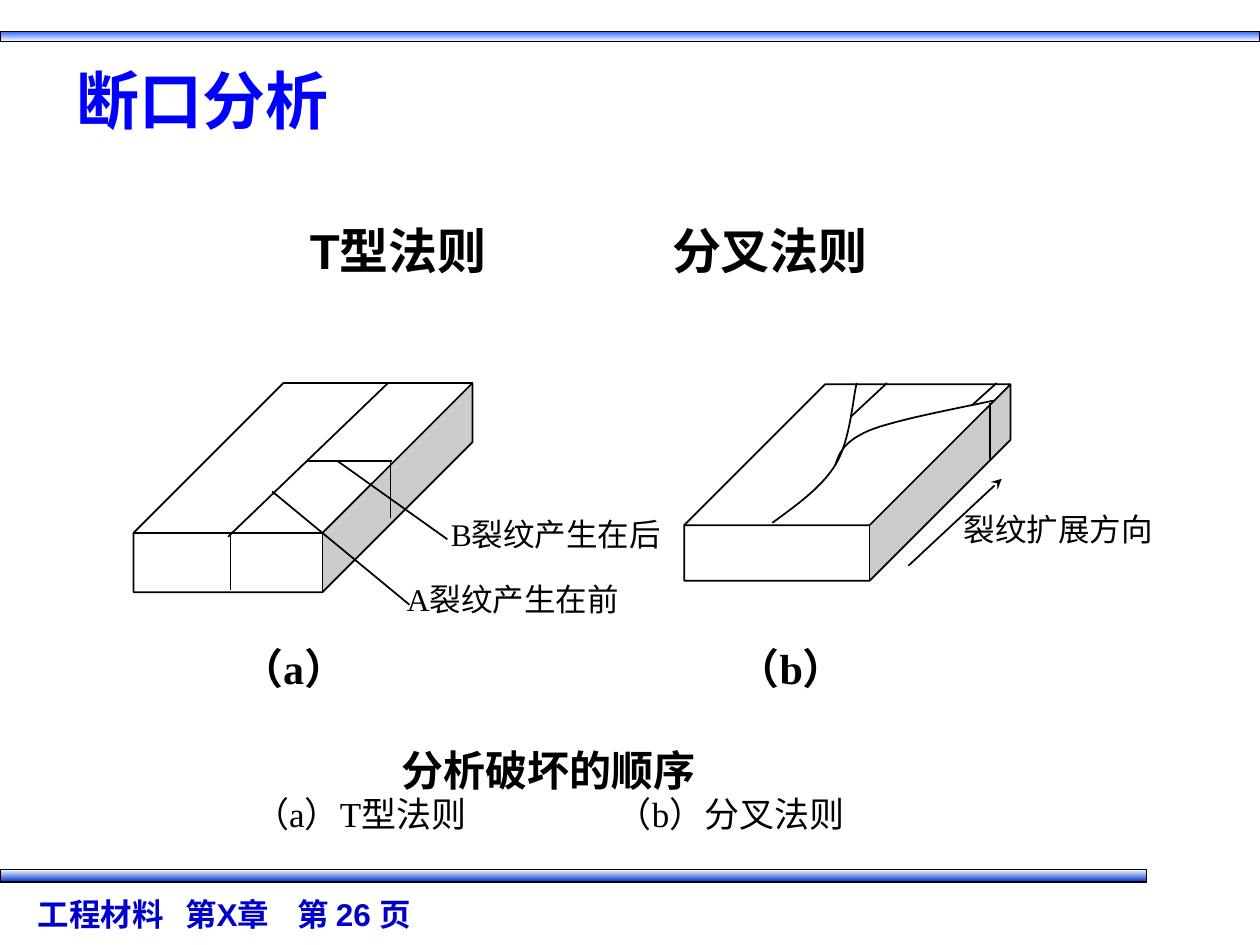
import pptx
import pptx.util
import pptx.dml.color
import pptx.enum.shapes
import pptx.enum.text
import pptx.oxml
import pptx.oxml.ns
from lxml import etree

Inches = pptx.util.Inches
Pt = pptx.util.Pt
ALIGN = pptx.enum.text.PP_ALIGN
SHAPE = pptx.enum.shapes.MSO_SHAPE
SERIF, SANS = "Times New Roman", "Arial"
HUES = {"ink": "000000", "white": "FFFFFF", "title": "0000FF",
        "foot": "0000CC", "sky": "3366FF", "navy": "0033CC"}


def hue(name):
    return pptx.dml.color.RGBColor.from_string(HUES[name])


def node(owner, tag, **attrs):
    return etree.SubElement(owner, pptx.oxml.ns.qn(tag), **attrs)


def style(shape, size, font, color="ink", bold=False, align=ALIGN.LEFT, wrap=False):
    frame = shape.text_frame
    frame.word_wrap = wrap
    frame.vertical_anchor = pptx.enum.text.MSO_ANCHOR.MIDDLE
    for para in frame.paragraphs:
        para.alignment = align
        for run in para.runs:
            run.font.size, run.font.name, run.font.bold = Pt(size), font, bold
            run.font.color.rgb = hue(color)


def label(slide, text, box, size, font=SERIF, **look):
    shape = slide.shapes.add_textbox(*map(Inches, box))
    shape.text_frame.text = text
    style(shape, size, font, **look)
    return shape


def pen(shape, width=1):
    shape.line.color.rgb = hue("ink")
    shape.line.width = Pt(width)


def rule(slide, box, start, end, arrow=False):
    """Straight line between two points measured from the box corner."""
    left, top = box[:2]
    ends = (left + start[0], top + start[1], left + end[0], top + end[1])
    line = slide.shapes.add_connector(
        pptx.enum.shapes.MSO_CONNECTOR.STRAIGHT, *map(Inches, ends))
    pen(line)
    if arrow:
        node(line.line._get_or_add_ln(), "a:tailEnd", type="stealth")
    node(line._element.spPr, "a:effectLst")


def curve(slide, box, start, *arcs, steps=16):
    """Open outline through cubic arcs, each given as two controls and an end."""
    points, here = [start], start
    for one, two, end in arcs:
        for i in range(1, steps + 1):
            t = i / steps
            u = 1 - t
            points.append(tuple(
                u**3 * a + 3 * u * u * t * b + 3 * u * t * t * c + t**3 * d
                for a, b, c, d in zip(here, one, two, end)))
        here = end
    spots = [(Inches(box[0] + x), Inches(box[1] + y)) for x, y in points]
    path = slide.shapes.build_freeform(*spots[0])
    path.add_line_segments(spots[1:], close=False)
    shape = path.convert_to_shape()
    shape.fill.background()
    shape.shadow.inherit = False
    pen(shape)


def bar(slide, box, top, base):
    shape = slide.shapes.add_shape(SHAPE.RECTANGLE, *map(Inches, box))
    shape.shadow.inherit = False
    shape.fill.gradient()
    shape.fill.gradient_angle = 270
    for stop, name in zip(shape.fill.gradient_stops, (top, base)):
        stop.color.rgb = hue(name)
    pen(shape, 0.75)


def block(slide, box):
    shape = slide.shapes.add_shape(SHAPE.CUBE, *map(Inches, box))
    shape.adjustments[0] = 0.717
    shape.shadow.inherit = False
    shape.fill.solid()
    shape.fill.fore_color.rgb = hue("white")
    pen(shape)


def footer(slide, box):
    shape = label(slide, "工程材料\t第X章\t第 26 页", box, 18, SANS,
                  color="foot", bold=True, wrap=True)
    props = shape.text_frame.paragraphs[0]._p.get_or_add_pPr()
    tabs = node(props, "a:tabLst")
    for stop in (1.17, 2.06):
        node(tabs, "a:tab", pos=str(Inches(stop)), algn="l")


def head(slide, box):
    title = slide.shapes.title
    title.left, title.top, title.width, title.height = map(Inches, box)
    frame = title.text_frame
    frame.text = "断口分析"
    frame.margin_left = frame.margin_right = 0
    style(title, 36, SANS, color="title", bold=True, align=ALIGN.CENTER)


def tee(slide, box):
    """Block where crack B stops at the earlier crack A."""
    block(slide, box)
    for start, end in (
            ((2.02, 0), (0.75, 1.22)), ((0.77, 1.19), (0.77, 1.64)),   # crack A
            ((1.37, 0.62), (2.05, 0.62)), ((2.04, 0.62), (2.04, 1.07)),  # crack B
            ((1.1, 0.86), (2.19, 1.76)), ((1.62, 0.62), (2.49, 1.24))):  # leaders
        rule(slide, box, start, end)
    left, top = box[:2]
    label(slide, "B裂纹产生在后", (left + 2.42, top + 0.97, 1.99, 0.45), 18)
    label(slide, "A裂纹产生在前", (left + 2.07, top + 1.49, 1.99, 0.45), 18)


def fork(slide, box):
    """Block with a branching crack and its direction of growth."""
    block(slide, box)
    curve(slide, box, (0.7, 1.1),
          ((0.89, 0.96), (1.09, 0.82), (1.2, 0.64)),
          ((1.32, 0.45), (1.34, 0.1), (1.37, -0.01)))
    curve(slide, box, (1.2, 0.64),
          ((1.23, 0.55), (1.26, 0.46), (1.46, 0.37)),
          ((1.67, 0.28), (2.28, 0.17), (2.45, 0.13)))
    for start, end in (((2.43, 0.15), (2.43, 0.61)),
                       ((1.32, 0.26), (1.61, -0.01)),
                       ((2.28, 0.17), (2.48, -0.01))):
        rule(slide, box, start, end)
    rule(slide, box, (1.78, 1.44), (2.52, 0.75), arrow=True)
    label(slide, "裂纹扩展方向",
          (box[0] + 2.12, box[1] + 0.92, 1.71, 0.45), 18)


def caption(slide, box):
    """Part letters, the caption and its key, centred on columns of the box."""
    left, top, wide = box[:3]
    rows = (("（a）", 0.61, 0, 24, True), ("（b）", 4.56, 0, 24, True),
            ("分析破坏的顺序", wide / 2, 0.81, 24, True),
            ("（a）T型法则", 1.14, 1.16, 20, False),
            ("（b）分叉法则", 4.08, 1.16, 20, False))
    span = 3.2
    for text, mid, down, size, bold in rows:
        label(slide, text, (left + mid - span / 2, top + down, span, 0.45),
              size, bold=bold, align=ALIGN.CENTER)


def main():
    deck = pptx.Presentation()
    deck.slide_width, deck.slide_height = Inches(10), Inches(7.5)
    slide = deck.slides.add_slide(deck.slide_layouts[5])

    # Frame
    bar(slide, (0, 0.25, 10, 0.08), "sky", "white")
    bar(slide, (0, 6.9, 9.1, 0.1), "white", "navy")
    footer(slide, (0.2, 7.05, 6.38, 0.4))

    # Title and headings
    head(slide, (0.51, 0.44, 2.2, 0.7))
    for text, left in (("T型法则", 2.2), ("分叉法则", 5.15)):
        label(slide, text, (left, 1.7, 1.92, 0.57), 28, SANS,
              bold=True, align=ALIGN.CENTER)

    # Diagrams and caption
    tee(slide, (1.06, 3.04, 2.69, 1.66))
    fork(slide, (5.43, 3.05, 2.59, 1.56))
    caption(slide, (1.72, 5.07, 5.26, 1.62))
    deck.save("out.pptx")


if __name__ == "__main__":
    main()
